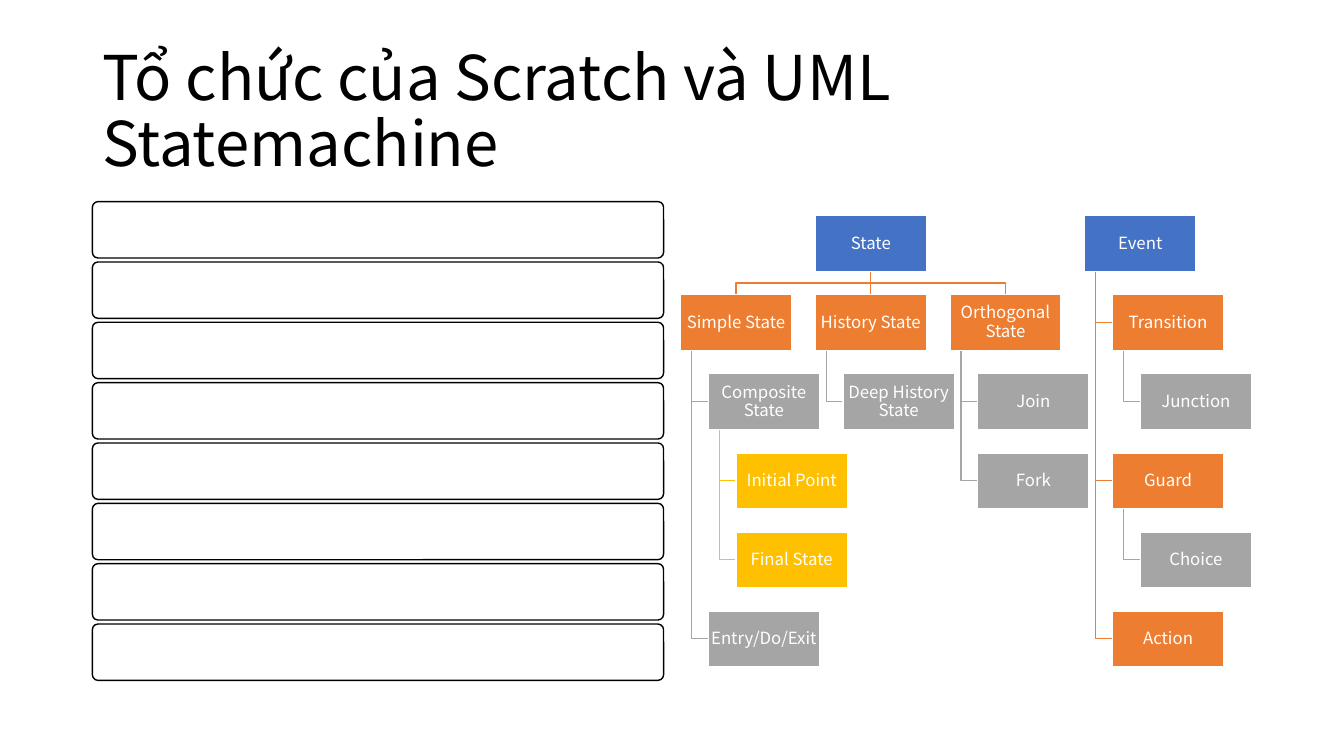
from lxml import etree
from pptx import Presentation
from pptx import util as u
from pptx.dml.color import RGBColor
from pptx.enum import shapes, text
from pptx.oxml.ns import qn

FONT = "Noto Sans CJK JP"
BLACK = RGBColor(0x00, 0x00, 0x00)
WHITE = RGBColor(0xFF, 0xFF, 0xFF)
BLUE = RGBColor(0x44, 0x72, 0xC4)
ORANGE = RGBColor(0xED, 0x7D, 0x31)
GREY = RGBColor(0xA5, 0xA5, 0xA5)
GOLD = RGBColor(0xFF, 0xC0, 0x00)
LEVEL_COLORS = [BLUE, ORANGE, GREY, GOLD]

# Each node is (label, children)
STATE = ("State", [
    ("Simple State", [
        ("Composite State", [("Initial Point", []), ("Final State", [])]),
        ("Entry/Do/Exit", [])]),
    ("History State", [("Deep History State", [])]),
    ("Orthogonal State", [("Join", []), ("Fork", [])])])
EVENT = ("Event", [
    ("Transition", [("Junction", [])]),
    ("Guard", [("Choice", [])]),
    ("Action", [])])

prs = Presentation()
prs.slide_width, prs.slide_height = u.Inches(13.33), u.Inches(7.5)
COL, ROW = prs.slide_width / 160, prs.slide_height / 150


def area(left, top, width, height):
    """Turn grid columns and rows into lengths."""
    return [round(n) for n in (left * COL, top * ROW, width * COL, height * ROW)]


def add_box(s, kind, box, fill, line):
    sp = s.shapes.add_shape(kind, *(round(n) for n in box))
    sp.shadow.inherit = False
    sp.fill.solid()
    sp.fill.fore_color.rgb = fill
    sp.line.color.rgb = line
    sp.line.width = u.Pt(1)
    return sp


def write(sp, words, size, color, align):
    tf = sp.text_frame
    tf.word_wrap = True
    tf.vertical_anchor = text.MSO_ANCHOR.MIDDLE
    tf.text = words
    p = tf.paragraphs[0]
    p.alignment, p.line_spacing = align, 0.9
    font = p.runs[0].font
    font.name, font.size, font.color.rgb = FONT, u.Pt(size), color


def add_link(s, points, color):
    """Draw a straight connector or an open outline with corners."""
    points = [(round(x), round(y)) for x, y in points]
    if len(points) == 2:
        sp = s.shapes.add_connector(shapes.MSO_CONNECTOR.STRAIGHT, *points[0], *points[1])
        etree.SubElement(sp._element.spPr, qn("a:effectLst"))
    else:
        builder = s.shapes.build_freeform(*points[0])
        builder.add_line_segments(points[1:], close=False)
        sp = builder.convert_to_shape()
        sp.shadow.inherit = False
        sp.fill.background()
    sp.line.color.rgb = color
    sp.line.width = u.Pt(1)


def add_title(s, box):
    sp = s.shapes.add_textbox(*box)
    write(sp, "Tổ chức của Scratch và UML Statemachine", 44, BLACK, text.PP_ALIGN.LEFT)


def add_bars(s, box, count=8, gap=0.07):
    left, top, width, height = box
    bar = height / (count + (count - 1) * gap)
    for i in range(count):
        sp = add_box(s, shapes.MSO_SHAPE.ROUNDED_RECTANGLE,
                     (left, top + i * bar * (1 + gap), width, bar), WHITE, BLACK)
        sp.adjustments[0] = 0.1


def add_trees(s, box):
    left, top, width, _ = box
    # Four columns with gaps of 0.21 box widths, plus two indents of a quarter
    w = width / 5.13
    h, pitch, step, indent = w / 2, 1.21 * w, 0.71 * w, w / 4
    nodes, links = [], []

    def place(node, x, row, level):
        """Place a node with its children hanging below; return the next free row."""
        label, children = node
        y = top + row * step
        nodes.append((label, x, y, level))
        row += 1
        for child in children:
            middle = top + row * step + h / 2
            trunk = x + 0.1 * w
            links.append(([(trunk, y + h), (trunk, middle), (x + indent, middle)], level + 1))
            row = place(child, x + indent, row, level + 1)
        return row

    def place_spread(node, x):
        """Place a root above the middle one of its children, which stand side by side."""
        label, children = node
        root = x + (len(children) - 1) / 2 * pitch
        nodes.append((label, root, top, 0))
        center, fork = root + w / 2, top + (h + step) / 2
        for i, child in enumerate(children):
            child_x = x + i * pitch
            foot = child_x + w / 2
            corners = [] if foot == center else [(center, fork), (foot, fork)]
            links.append(([(center, top + h), *corners, (foot, top + step)], 1))
            place(child, child_x, 1, 1)

    place_spread(STATE, left)
    place(EVENT, left + 3 * pitch, 0, 0)

    # Links lie behind the boxes
    for points, level in links:
        add_link(s, points, LEVEL_COLORS[level])
    for label, x, y, level in nodes:
        sp = add_box(s, shapes.MSO_SHAPE.RECTANGLE, (x, y, w, h), LEVEL_COLORS[level], WHITE)
        tf = sp.text_frame
        tf.margin_left = tf.margin_right = tf.margin_top = tf.margin_bottom = u.Inches(0.01)
        write(sp, label, 12, WHITE, text.PP_ALIGN.CENTER)


def build_slide():
    s = prs.slides.add_slide(prs.slide_layouts[6])
    add_title(s, area(11, 8, 138, 29))
    add_bars(s, area(11, 40, 68, 95))
    add_trees(s, area(81, 42.8, 68, 89.4))


build_slide()
prs.save("out.pptx")
